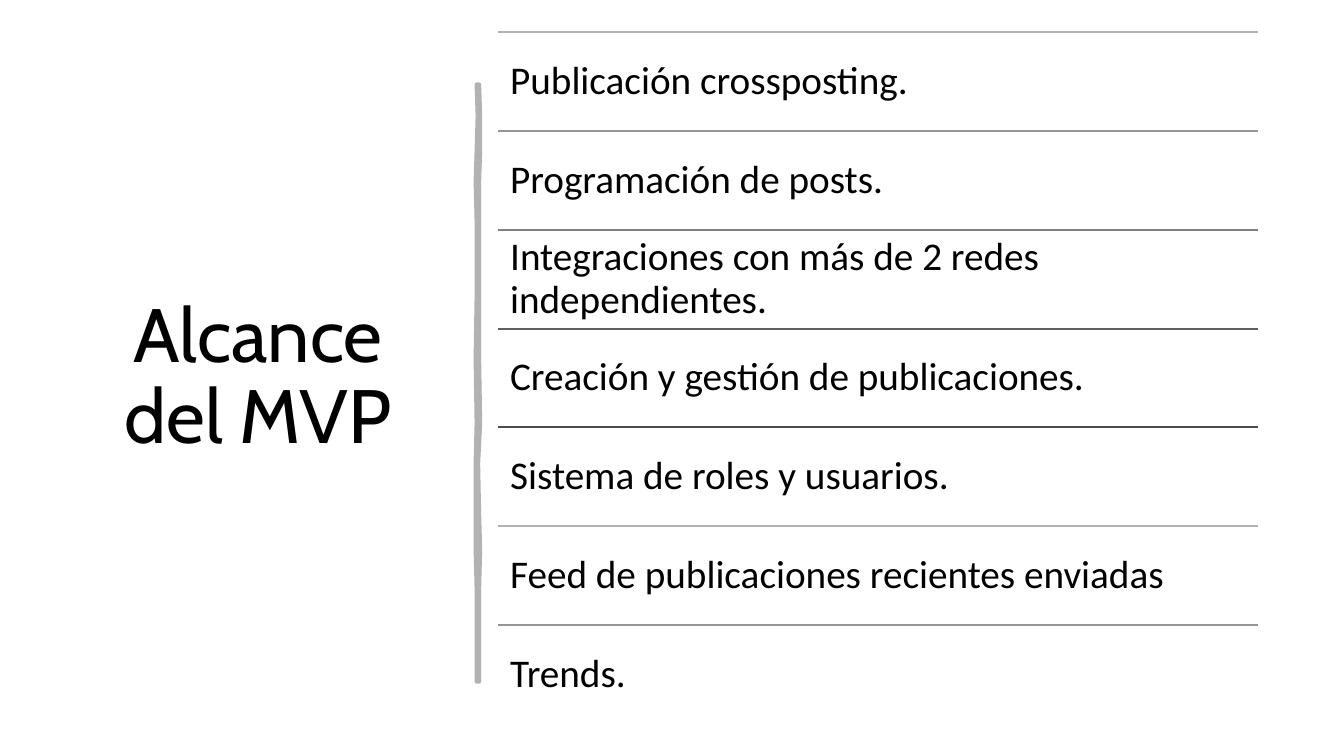
from pptx import Presentation
from pptx.dml.color import RGBColor
from pptx.enum.shapes import MSO_CONNECTOR as CONN
from pptx.enum.text import MSO_ANCHOR, MSO_AUTO_SIZE, PP_ALIGN
from pptx.oxml.ns import qn
from pptx.util import Inches, Pt
from lxml.etree import SubElement

# Content
TITLE = "Alcance del MVP"
ITEMS = [
    "Publicación crossposting.",
    "Programación de posts.",
    "Integraciones con más de 2 redes independientes.",
    "Creación y gestión de publicaciones.",
    "Sistema de roles y usuarios.",
    "Feed de publicaciones recientes enviadas",
    "Trends.",
]
THEME = {
    "text": "000000", "bar": "B2B2B2",
    "rules": ["B2B2B2", "969696", "808080", "5F5F5F", "4D4D4D"],
    "title": {"name": "Cabin", "size": Pt(54), "bold": False},
    "item": {"name": "Calibri", "size": Pt(28)},
    "rule_w": Pt(1.5), "bar_w": Pt(3.25),
}

# Layout in inches
SLIDE_W, SLIDE_H = 13.33, 7.5
TITLE_BOX = (0.69, 0.7, 3.74, 6.11)
LIST_X, LIST_Y, LIST_W, ROW_H = 4.94, 0.32, 7.54, 0.98
INSET = 0.12
# Hand-drawn bar: (y, left x, right x) from top to bottom
BAR = [
    (0.84, 4.73, 4.75), (1.15, 4.74, 4.76), (1.5, 4.73, 4.76),
    (1.8, 4.72, 4.75), (2.2, 4.73, 4.75), (2.94, 4.73, 4.75),
    (3.56, 4.72, 4.75), (4.2, 4.73, 4.76), (4.6, 4.72, 4.74),
    (5.1, 4.72, 4.75), (5.45, 4.72, 4.76), (5.84, 4.73, 4.75),
    (6.3, 4.73, 4.75), (6.76, 4.73, 4.75),
]


def color(name):
    return RGBColor.from_string(name)


def write(sp, text, font, align):
    tf = sp.text_frame
    frame = {"text": text, "word_wrap": True, "auto_size": MSO_AUTO_SIZE.NONE,
             "vertical_anchor": MSO_ANCHOR.MIDDLE}
    for key, value in frame.items():
        setattr(tf, key, value)
    p = tf.paragraphs[0]
    p.alignment, p.line_spacing = align, 0.9
    r = p.runs[0]
    for key, value in font.items():
        setattr(r.font, key, value)
    r.font.color.rgb = color(THEME["text"])
    return tf


def add_rule(shapes, y, shade):
    rule = shapes.add_connector(CONN.STRAIGHT, Inches(LIST_X), Inches(y),
                                Inches(LIST_X + LIST_W), Inches(y))
    rule.line.color.rgb, rule.line.width = color(shade), THEME["rule_w"]
    SubElement(rule._element.spPr, qn("a:effectLst"))


def add_bar(shapes):
    outline = [(right, y) for y, _, right in BAR]
    outline += [(left, y) for y, left, _ in reversed(BAR)]
    points = [(Inches(x), Inches(y)) for x, y in outline]
    builder = shapes.build_freeform(*points[0], scale=1.0)
    builder.add_line_segments(points[1:], close=True)
    sp = builder.convert_to_shape()
    sp.shadow.inherit = False
    sp.fill.solid()
    sp.fill.fore_color.rgb = sp.line.color.rgb = color(THEME["bar"])
    sp.line.width = THEME["bar_w"]
    SubElement(sp.line._get_or_add_ln(), qn("a:round"))


def main():
    prs = Presentation()
    prs.slide_width, prs.slide_height = Inches(SLIDE_W), Inches(SLIDE_H)
    slide = prs.slides.add_slide(prs.slide_layouts[5])
    shapes = slide.shapes

    # Title
    title = shapes.title
    for key, value in zip(("left", "top", "width", "height"), TITLE_BOX):
        setattr(title, key, Inches(value))
    write(title, TITLE, THEME["title"], PP_ALIGN.CENTER)

    add_bar(shapes)

    # Ruled list, with the rule shades in rotation
    for i, item in enumerate(ITEMS):
        y = LIST_Y + i * ROW_H
        add_rule(shapes, y, THEME["rules"][i % len(THEME["rules"])])
        box = shapes.add_textbox(*map(Inches, (LIST_X, y, LIST_W, ROW_H)))
        tf = write(box, item, THEME["item"], PP_ALIGN.LEFT)
        for side in ("left", "top", "right", "bottom"):
            setattr(tf, "margin_" + side, Inches(INSET))

    prs.save("out.pptx")


if __name__ == "__main__":
    main()
